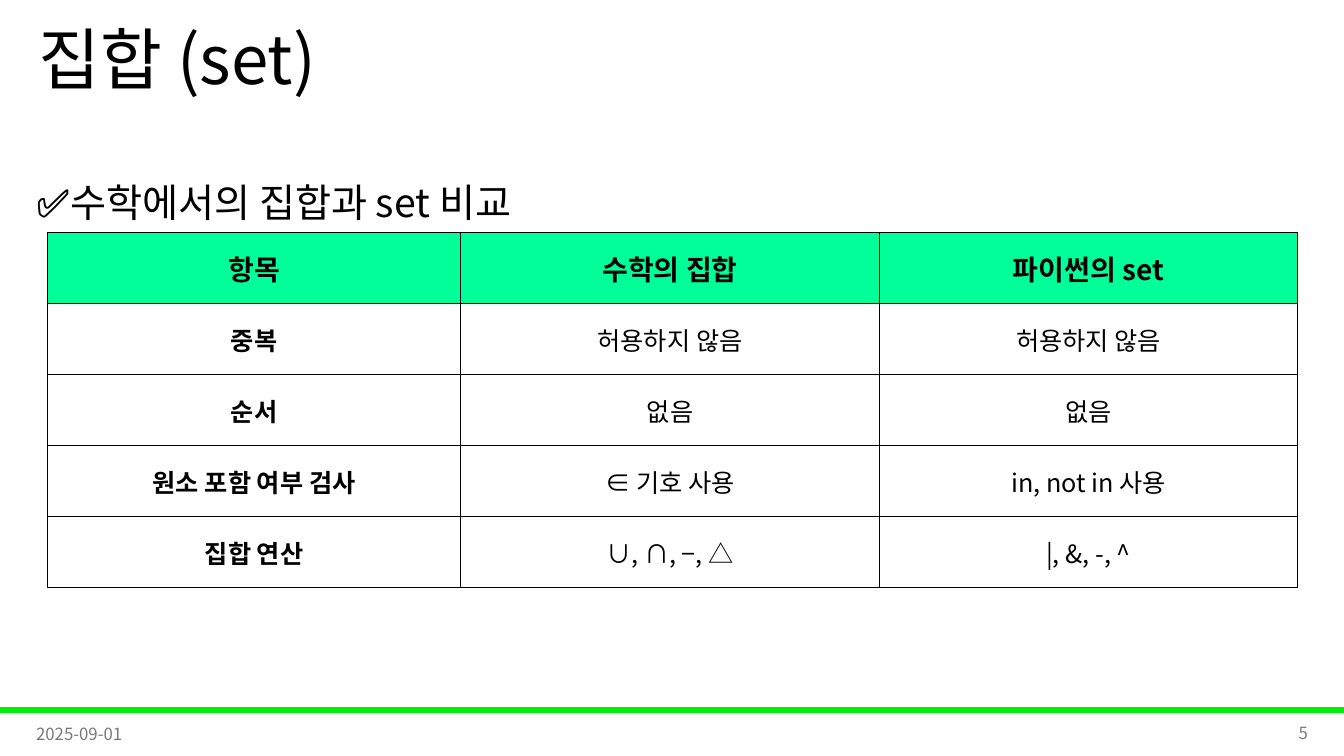
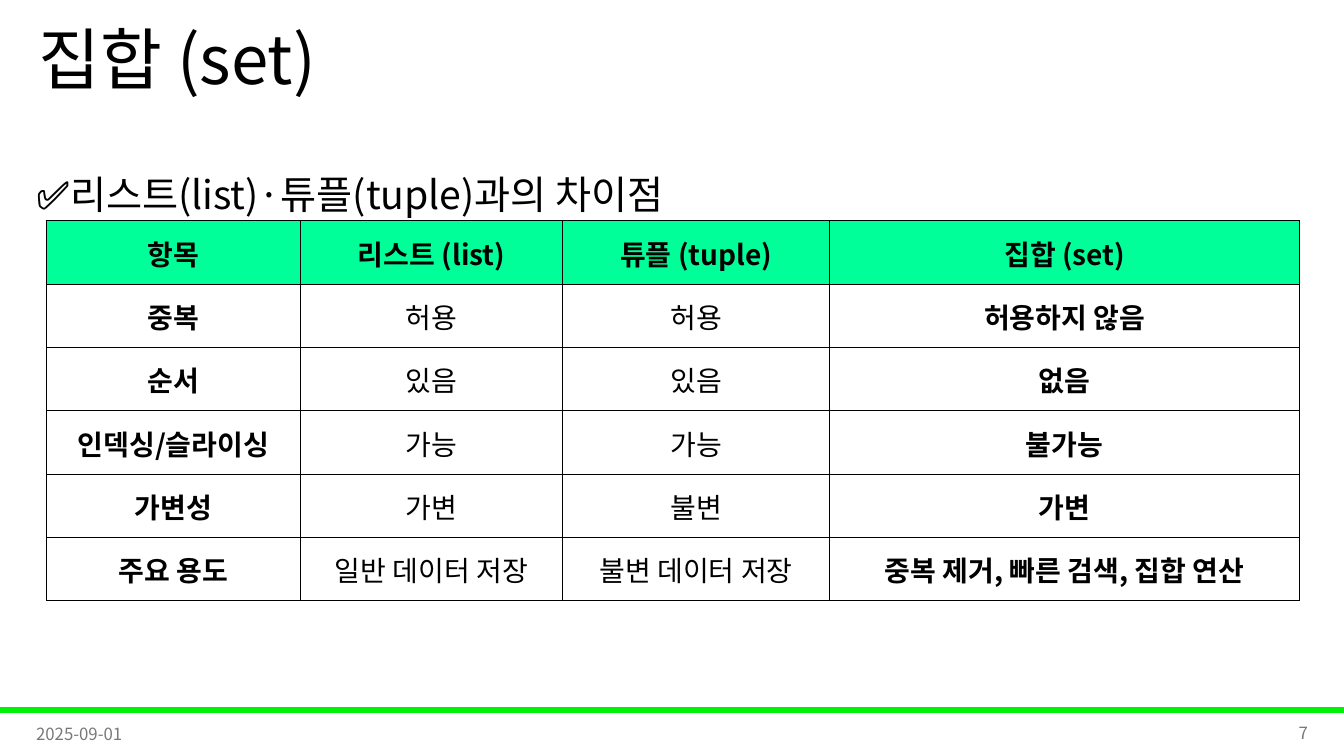
from dataclasses import dataclass

from lxml import etree
from pptx import Presentation
from pptx import util as u
from pptx.dml.color import RGBColor
from pptx.enum import shapes, text
from pptx.oxml import ns

PX = 9144  # EMU in one px, 100 px to the inch
WIDTH, HEIGHT = 1333, 750
FONT = "Noto Sans CJK KR"
BLACK, GREY, WHITE = "000000", "797979", "FFFFFF"
BAND, HEADER = "00F209", "00FF99"
TITLE = "집합 (set)"
DATE = "2025-09-01"
LEFT, CENTER, RIGHT = text.PP_ALIGN.LEFT, text.PP_ALIGN.CENTER, text.PP_ALIGN.RIGHT
MIDDLE, TOP = text.MSO_ANCHOR.MIDDLE, text.MSO_ANCHOR.TOP


@dataclass(frozen=True)
class Box:
    x: int
    y: int
    w: int
    h: int

    def emu(self) -> tuple[int, int, int, int]:
        return px(self.x), px(self.y), px(self.w), px(self.h)


@dataclass(frozen=True)
class Comparison:
    number: int
    heading: str
    heading_y: int
    x: int
    y: int
    height: int
    columns: tuple[int, ...]
    rows: tuple[tuple[str, ...], ...]
    bold_columns: tuple[int, ...]
    body_size: int


COMPARISONS = (
    Comparison(
        number=5,
        heading="✅수학에서의 집합과 set 비교",
        heading_y=149,
        x=47, y=230, height=353,
        columns=(410, 415, 415),
        rows=(
            ("항목", "수학의 집합", "파이썬의 set"),
            ("중복", "허용하지 않음", "허용하지 않음"),
            ("순서", "없음", "없음"),
            ("원소 포함 여부 검사", "∈ 기호 사용", "in, not in 사용"),
            ("집합 연산", "∪, ∩, −, △", "|, &, -, ^"),
        ),
        bold_columns=(0,),
        body_size=18,
    ),
    Comparison(
        number=7,
        heading="✅리스트(list)·튜플(tuple)과의 차이점",
        heading_y=141,
        x=46, y=219, height=377,
        columns=(252, 260, 265, 466),
        rows=(
            ("항목", "리스트 (list)", "튜플 (tuple)", "집합 (set)"),
            ("중복", "허용", "허용", "허용하지 않음"),
            ("순서", "있음", "있음", "없음"),
            ("인덱싱/슬라이싱", "가능", "가능", "불가능"),
            ("가변성", "가변", "불변", "가변"),
            ("주요 용도", "일반 데이터 저장", "불변 데이터 저장",
             "중복 제거, 빠른 검색, 집합 연산"),
        ),
        bold_columns=(0, 3),
        body_size=20,
    ),
)


def px(n: int) -> int:
    return n * PX


def rgb(value: str) -> RGBColor:
    return RGBColor.from_string(value)


def set_all(obj, values: dict) -> None:
    for name, value in values.items():
        setattr(obj, name, value)


def write(tf, words: str, size: int, color: str = BLACK, bold: bool = False,
          **paragraph) -> None:
    """Fill a text frame with one formatted paragraph."""
    p = tf.paragraphs[0]
    set_all(p, paragraph)
    r = p.add_run()
    r.text = words
    r.font.color.rgb = rgb(color)
    set_all(r.font, {"size": u.Pt(size), "bold": bold, "name": FONT})
    etree.SubElement(r.font._element, ns.qn("a:ea"), typeface=FONT)


def add_text(s, box: Box, words: str, size: int, anchor=MIDDLE, **style) -> None:
    tf = s.shapes.add_textbox(*box.emu()).text_frame
    set_all(tf, {"word_wrap": True, "vertical_anchor": anchor})
    write(tf, words, size, **style)


def add_title(s) -> None:
    sp = s.shapes.title
    left, top, width, height = Box(28, 0, 1150, 125).emu()
    set_all(sp, {"left": left, "top": top, "width": width, "height": height})
    set_all(sp.text_frame, {"word_wrap": True, "vertical_anchor": MIDDLE,
                            "auto_size": text.MSO_AUTO_SIZE.NONE})
    write(sp.text_frame, TITLE, 48, alignment=LEFT, line_spacing=0.9)


def add_footer(s, number: int) -> None:
    band = s.shapes.add_shape(shapes.MSO_SHAPE.RECTANGLE, *Box(0, 702, WIDTH, 5).emu())
    band.shadow.inherit = False
    band.fill.solid()
    band.fill.fore_color.rgb = rgb(BAND)
    band.line.color.rgb = rgb(BAND)
    band.line.width = u.Pt(1)
    add_text(s, Box(26, 708, 300, 40), DATE, 12, color=GREY, alignment=LEFT)
    add_text(s, Box(1007, 707, 300, 40), str(number), 12, color=GREY, alignment=RIGHT)


def add_borders(cell) -> None:
    """Draw thin black lines on all four sides of a cell."""
    tc_pr = cell._tc.get_or_add_tcPr()
    for i, side in enumerate("LRTB"):
        ln = etree.Element(ns.qn(f"a:ln{side}"), w=str(u.Pt(0.5)))
        fill = etree.SubElement(ln, ns.qn("a:solidFill"))
        etree.SubElement(fill, ns.qn("a:srgbClr"), val=BLACK)
        tc_pr.insert(i, ln)


def add_comparison_table(s, c: Comparison) -> None:
    box = Box(c.x, c.y, sum(c.columns), c.height)
    frame = s.shapes.add_table(len(c.rows), len(c.columns), *box.emu())
    table = frame.table
    set_all(table, {"first_row": False, "horz_banding": False})
    for column, width in zip(table.columns, c.columns):
        column.width = px(width)
    for i, words in enumerate(c.rows):
        table.rows[i].height = px(c.height) // len(c.rows)
        is_header = i == 0
        for j, word in enumerate(words):
            cell = table.cell(i, j)
            set_all(cell, {"vertical_anchor": MIDDLE, "margin_left": px(1),
                           "margin_top": px(1), "margin_right": px(1),
                           "margin_bottom": 0})
            if is_header:
                cell.fill.solid()
                cell.fill.fore_color.rgb = rgb(HEADER)
            else:
                cell.fill.background()
            add_borders(cell)
            write(cell.text_frame, word, 20 if is_header else c.body_size,
                  bold=is_header or j in c.bold_columns, alignment=CENTER)


def add_comparison(prs, c: Comparison) -> None:
    s = prs.slides.add_slide(prs.slide_layouts.get_by_name("Title Only"))
    s.background.fill.solid()
    s.background.fill.fore_color.rgb = rgb(WHITE)
    add_title(s)
    add_footer(s, c.number)
    add_text(s, Box(26, c.heading_y, 1280, 81), c.heading, 28, anchor=TOP,
             alignment=LEFT, line_spacing=1.5, space_before=u.Pt(10))
    add_comparison_table(s, c)


def main() -> None:
    prs = Presentation()
    set_all(prs, {"slide_width": px(WIDTH), "slide_height": px(HEIGHT)})
    for c in COMPARISONS:
        add_comparison(prs, c)
    prs.save("out.pptx")


if __name__ == "__main__":
    main()
